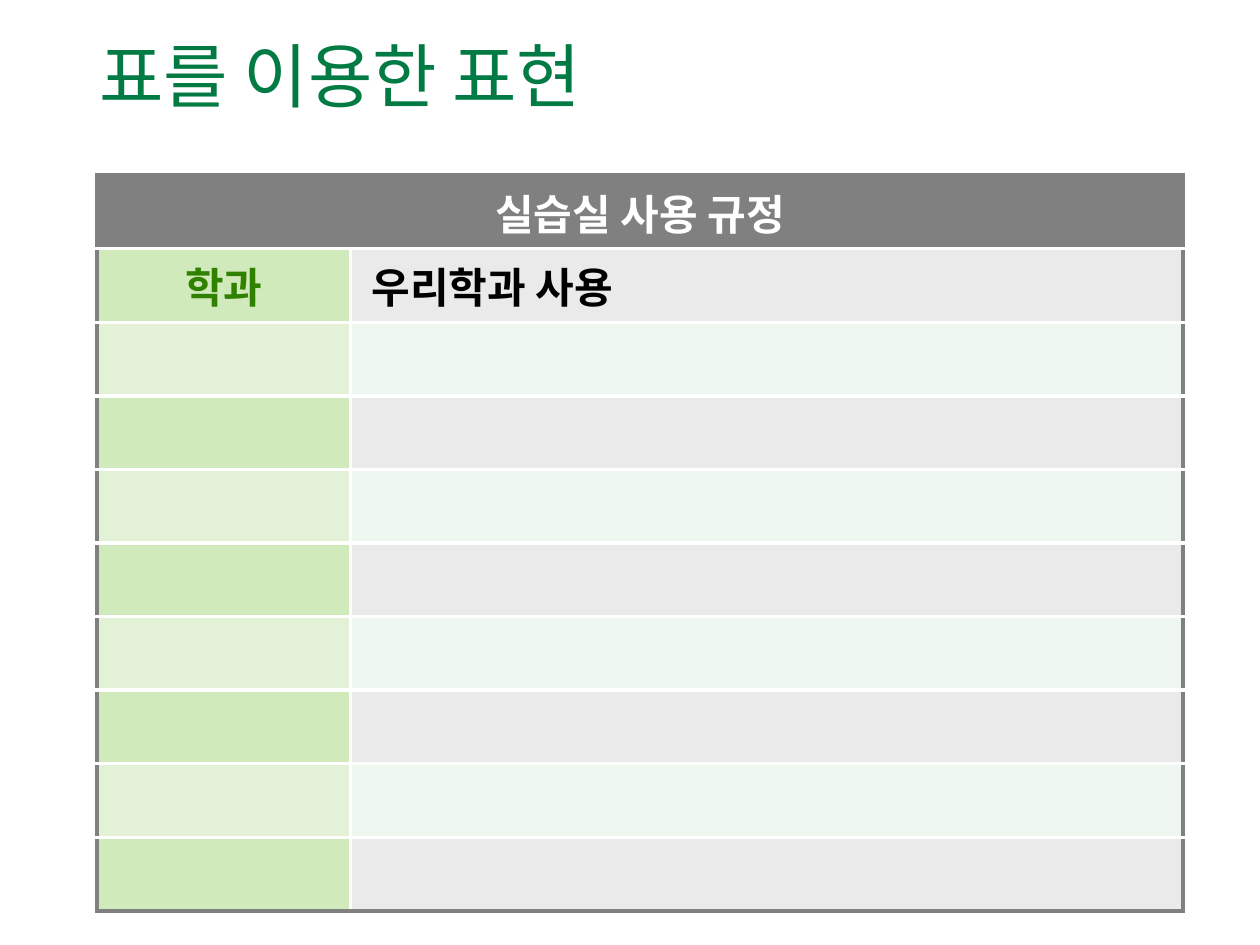
"""Build a slide with a title and a two-column table of lab rules."""
from dataclasses import dataclass

from lxml import etree
from pptx import Presentation
from pptx.dml.color import RGBColor
from pptx.enum.text import MSO_ANCHOR, PP_ALIGN
from pptx.oxml.ns import qn
from pptx.util import Inches, Pt

MIDDLE = MSO_ANCHOR.MIDDLE
LEFT, CENTER = PP_ALIGN.LEFT, PP_ALIGN.CENTER

FONT = "Noto Sans CJK KR"
GREEN = RGBColor(0x01, 0x7B, 0x43)
LEAF = RGBColor(0x30, 0x81, 0x00)
BLACK = RGBColor(0x00, 0x00, 0x00)
WHITE = RGBColor(0xFF, 0xFF, 0xFF)
GRAY = RGBColor(0x80, 0x80, 0x80)
LIME = RGBColor(0xD1, 0xEA, 0xBB)
PALE = RGBColor(0xE3, 0xF2, 0xD6)
SILVER = RGBColor(0xEA, 0xEA, 0xEA)
MINT = RGBColor(0xED, 0xF7, 0xEF)

ROWS = 10
WIDTHS = (2.01, 6.61)
HEIGHT = 5.84
BANDS = ((LIME, SILVER), (PALE, MINT))


@dataclass(frozen=True)
class Label:
    row: int
    col: int
    text: str
    color: RGBColor
    align: PP_ALIGN
    indent: float = 0.1


LABELS = (
    Label(0, 0, "실습실 사용 규정", WHITE, CENTER),
    Label(1, 0, "학과", LEAF, CENTER),
    Label(1, 1, "우리학과 사용", BLACK, LEFT, 0.17),
)


def style(frame, size: float, color: RGBColor, align: PP_ALIGN, bold: bool) -> None:
    para = frame.paragraphs[0]
    para.alignment = align
    for run in para.runs:
        font = run.font
        font.name, font.size, font.bold = FONT, Pt(size), bold
        font.color.rgb = color
        east = etree.SubElement(font._element, qn("a:ea"))
        east.set("typeface", FONT)


def paint(cell, fill: RGBColor, edges: dict[str, RGBColor]) -> None:
    cell.fill.solid()
    cell.fill.fore_color.rgb = fill
    props = cell._tc.get_or_add_tcPr()
    for spot, (side, color) in enumerate(edges.items()):
        line = etree.Element(qn(f"a:ln{side}"), w=str(Pt(2.25)))
        solid = etree.SubElement(line, qn("a:solidFill"))
        etree.SubElement(solid, qn("a:srgbClr"), val=str(color))
        props.insert(spot, line)


def add_title(slide) -> None:
    title = slide.shapes.title
    title.left, title.top = Inches(0.69), Inches(0)
    title.width, title.height = Inches(8.62), Inches(1.26)
    frame = title.text_frame
    frame.text = "표를 이용한 표현"
    frame.vertical_anchor = MIDDLE
    frame.paragraphs[0].line_spacing = 0.9
    style(frame, 40, GREEN, LEFT, False)


def add_rules(slide) -> None:
    cols = len(WIDTHS)
    shape = slide.shapes.add_table(
        ROWS, cols, Inches(0.77), Inches(1.39), Inches(sum(WIDTHS)), Inches(HEIGHT))
    table = shape.table
    table.first_row = table.horz_banding = False
    for col, width in zip(table.columns, WIDTHS):
        col.width = Inches(width)
    for row in range(ROWS):
        table.rows[row].height = Inches(HEIGHT / ROWS)
        for col in range(cols):
            head = row == 0
            fill = GRAY if head else BANDS[(row - 1) % 2][col]
            edges = {
                "L": GRAY if head or col == 0 else WHITE,
                "R": GRAY if head or col == cols - 1 else WHITE,
                "T": GRAY if head else WHITE,
                "B": GRAY if row == ROWS - 1 else WHITE,
            }
            paint(table.cell(row, col), fill, edges)
    table.cell(0, 0).merge(table.cell(0, cols - 1))
    for label in LABELS:
        cell = table.cell(label.row, label.col)
        cell.text_frame.text = label.text
        cell.vertical_anchor = MIDDLE
        cell.margin_left = Inches(label.indent)
        style(cell.text_frame, 24, label.color, label.align, True)


def main() -> None:
    deck = Presentation()
    deck.slide_width, deck.slide_height = Inches(10), Inches(7.5)
    slide = deck.slides.add_slide(deck.slide_layouts[5])
    add_title(slide)
    add_rules(slide)
    deck.save("out.pptx")


main()
